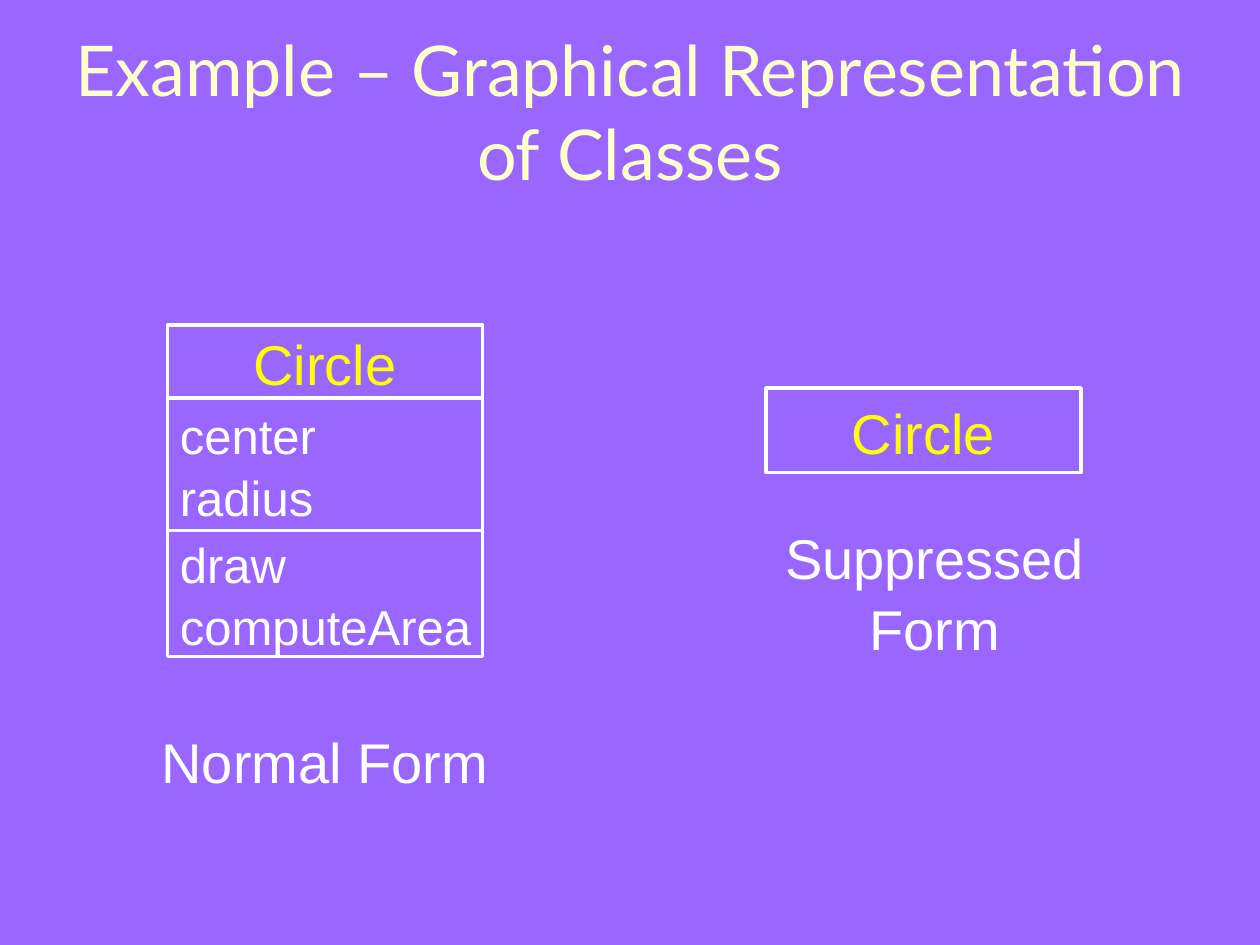
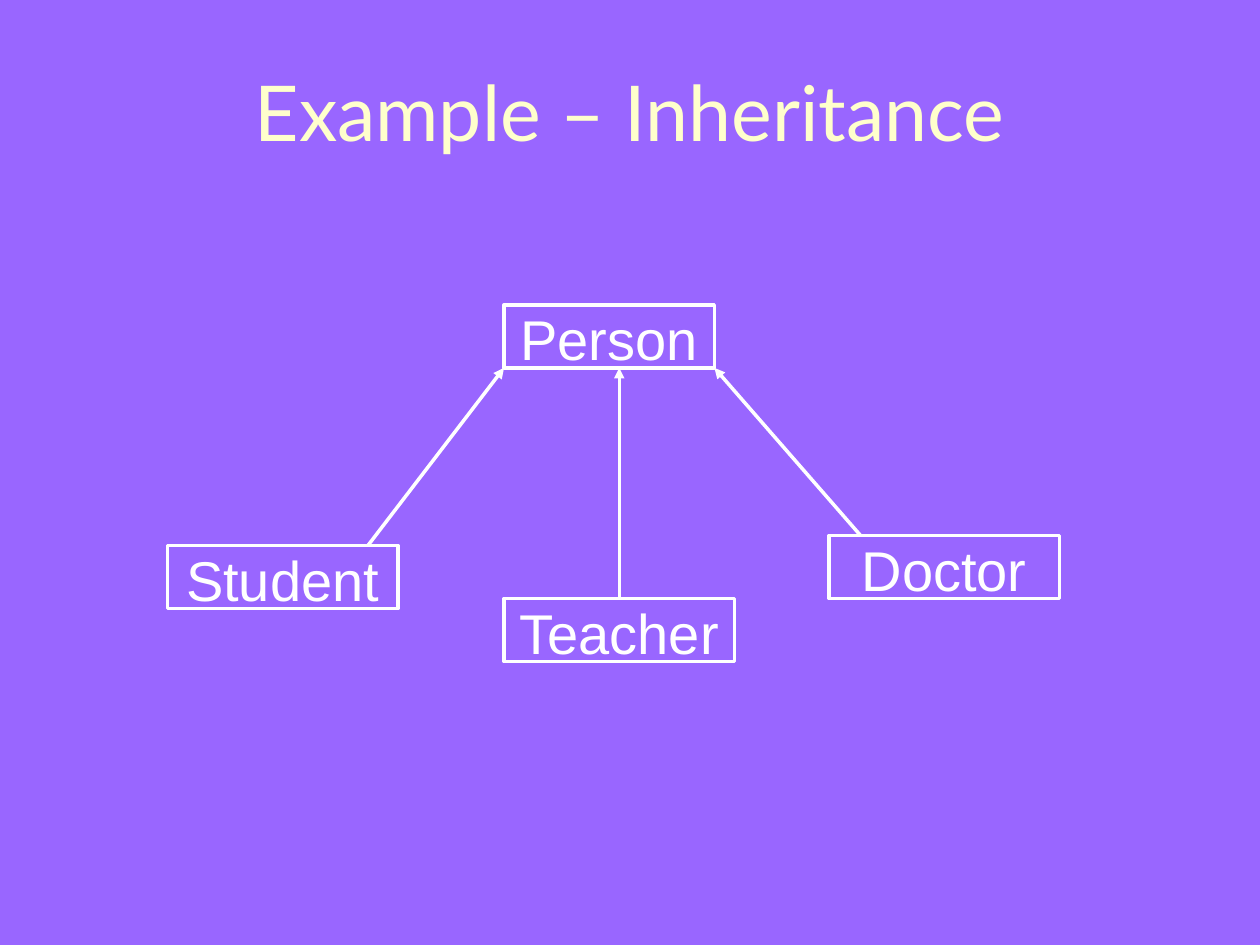
from lxml import etree
from pptx import Presentation
from pptx.dml.color import RGBColor
from pptx.enum.shapes import MSO_CONNECTOR, MSO_SHAPE
from pptx.enum.text import MSO_ANCHOR, PP_ALIGN
from pptx.oxml.ns import qn
from pptx.util import Inches, Pt

RECTANGLE = MSO_SHAPE.RECTANGLE
STRAIGHT = MSO_CONNECTOR.STRAIGHT
LEFT, CENTER = PP_ALIGN.LEFT, PP_ALIGN.CENTER
TOP, MIDDLE = MSO_ANCHOR.TOP, MSO_ANCHOR.MIDDLE

BACKGROUND = "9966FF"
TITLE_COLOR = "FFFFCC"
CLASS_NAME_COLOR = "FFFF00"
WHITE = "FFFFFF"
LINE_WIDTH = Pt(2)
TOP_SIDE = 0


def rgb(hex_color):
    return RGBColor.from_string(hex_color)


def write_text(box, text, size=32, color=WHITE, font="Arial", align=CENTER,
               anchor=MIDDLE, wrap=True, spacing=1.05):
    """Fill a box with text, one paragraph per line."""
    frame = box.text_frame
    frame.word_wrap = wrap
    frame.vertical_anchor = anchor
    frame.text = text
    for para in frame.paragraphs:
        para.alignment = align
        para.line_spacing = spacing
        para.font.size = Pt(size)
        para.font.name = font
        para.font.color.rgb = rgb(color)


def add_page(deck, title, title_size):
    page = deck.slides.add_slide(deck.slide_layouts[6])
    page.background.fill.solid()
    page.background.fill.fore_color.rgb = rgb(BACKGROUND)
    box = page.shapes.add_textbox(Inches(0.33), Inches(0.25),
                                  Inches(9.34), Inches(1.25))
    write_text(box, title, size=title_size, color=TITLE_COLOR, font="Lato",
               spacing=1.0)
    return page


def add_outlined_box(page, text, left, top, width, height, **text_format):
    box = page.shapes.add_shape(RECTANGLE, Inches(left), Inches(top),
                                Inches(width), Inches(height))
    box.shadow.inherit = False
    box.fill.background()
    box.line.color.rgb = rgb(WHITE)
    box.line.width = LINE_WIDTH
    write_text(box, text, wrap=False, **text_format)
    return box


def add_caption(page, text, left, top, height):
    box = page.shapes.add_textbox(Inches(left), Inches(top),
                                  Inches(3), Inches(height))
    write_text(box, text, anchor=TOP)


def add_arrow(page, start_x, start_y, end_x, end_y):
    arrow = page.shapes.add_connector(STRAIGHT, start_x, start_y, end_x, end_y)
    arrow.line.color.rgb = rgb(WHITE)
    arrow.line.width = LINE_WIDTH
    etree.SubElement(arrow.line._get_or_add_ln(), qn("a:tailEnd"),
                     type="triangle")
    etree.SubElement(arrow._element.spPr, qn("a:effectLst"))
    return arrow


def build_class_forms(deck):
    page = add_page(
        deck, "Example – Graphical Representation of Classes", 40)
    left, width = 1.33, 2.5
    members = {"size": 28, "align": LEFT}
    compartments = [
        ("Circle", 0.58, {"color": CLASS_NAME_COLOR}),
        ("center\nradius", 1.05, members),
        ("draw\ncomputeArea", 1.0, members),
    ]
    top = 2.58
    for text, height, text_format in compartments:
        add_outlined_box(page, text, left, top, width, height, **text_format)
        top += height
    add_caption(page, "Normal Form", 1.08, 5.7, 0.64)
    add_caption(page, "Suppressed Form", 5.92, 4.08, 1.17)
    add_outlined_box(page, "Circle", 6.08, 3.08, width, 0.67,
                     color=CLASS_NAME_COLOR)


def build_inheritance(deck):
    page = add_page(deck, "Example – Inheritance", 44)
    height, child_width = 0.5, 1.83
    person = add_outlined_box(page, "Person", 4, 2.42, 1.67, height)
    teacher, doctor, student = [
        add_outlined_box(page, name, left, top, child_width, height)
        for name, left, top in [("Teacher", 4, 4.75), ("Doctor", 6.58, 4.25),
                                ("Student", 1.33, 4.33)]
    ]
    person_bottom = person.top + person.height
    teacher_middle = teacher.left + teacher.width // 2
    teacher_arrow = add_arrow(page, teacher_middle, teacher.top,
                              teacher_middle, person_bottom)
    teacher_arrow.begin_connect(teacher, TOP_SIDE)
    add_arrow(page, Inches(2.92), student.top, person.left, person_bottom)
    add_arrow(page, Inches(6.83), doctor.top,
              person.left + person.width, person_bottom)


def main():
    deck = Presentation()
    deck.slide_width, deck.slide_height = Inches(10), Inches(7.5)
    build_class_forms(deck)
    build_inheritance(deck)
    deck.save("out.pptx")


if __name__ == "__main__":
    main()
